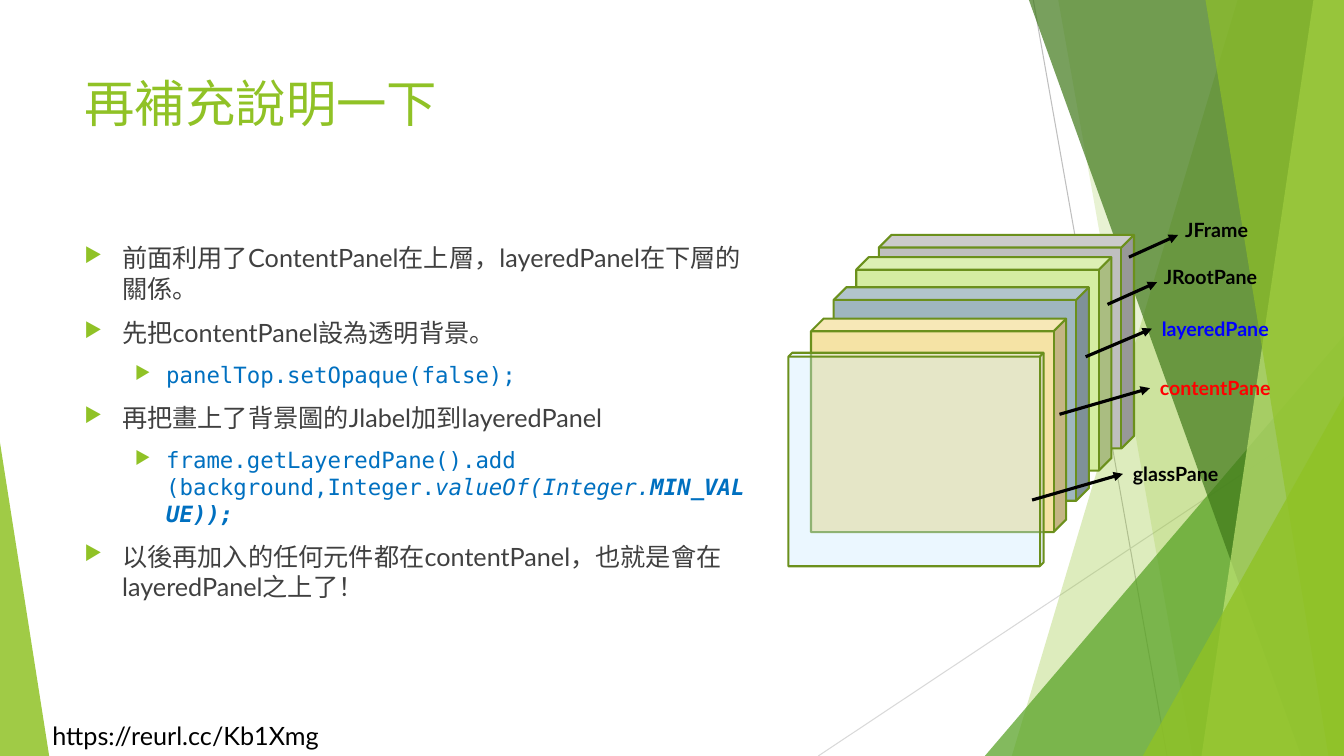
from lxml import etree
from pptx import Presentation
from pptx import util as u
from pptx.dml.color import RGBColor
from pptx.enum import shapes, text
from pptx.oxml import ns

Cm, Pt = u.Cm, u.Pt
SLIDE_W, SLIDE_H = 33.87, 19.05
COLORS = {
    "lime": "90C226", "green": "54A021", "forest": "3F7819", "pale": "C0E474",
    "edge": "6B901C", "silver": "BFBFBF", "mist": "D9D9D9", "body": "404040",
    "code": "0070C0", "black": "000000", "blue": "0000FF", "red": "FF0000",
    "root": "D5EDA2", "layered": "9FB6C0", "content": "F5E3A5", "glass": "CCECFF",
}


def paint(shape, fill=None, alpha=100, line=None, width=0, arrow=False):
    """Set fill, opacity in percent, outline and arrowhead, without a shadow."""
    if fill:
        shape.fill.solid()
        shape.fill.fore_color.rgb = RGBColor.from_string(COLORS[fill])
        if alpha < 100:
            tint = shape.fill._xPr.find(".//" + ns.qn("a:srgbClr"))
            etree.SubElement(tint, ns.qn("a:alpha"), val=str(alpha * 1000))
    if line:
        shape.line.color.rgb = RGBColor.from_string(COLORS[line])
        shape.line.width = Pt(width)
    else:
        shape.line.fill.background()
    properties = shape._element.spPr
    if arrow:
        etree.SubElement(properties.find(ns.qn("a:ln")), ns.qn("a:tailEnd"), type="triangle")
    etree.SubElement(properties, ns.qn("a:effectLst"))


def write(paragraph, words, font="Lato", size=18, color="body", bold=False, italic=False):
    """Add words to a paragraph; a newline becomes a line break."""
    for number, line in enumerate(words.split("\n")):
        if number:
            paragraph.add_line_break()
        run = paragraph.add_run()
        run.text = line
        run.font.name, run.font.size = font, Pt(size)
        run.font.bold, run.font.italic = bold, italic
        run.font.color.rgb = RGBColor.from_string(COLORS[color])


deck = Presentation()
deck.slide_width, deck.slide_height = Cm(SLIDE_W), Cm(SLIDE_H)
slide = deck.slides.add_slide(deck.slide_layouts[6])
canvas = slide.shapes

# Background rays and facets
rays = [((26.04, 0, 29.41, SLIDE_H), "silver"), ((SLIDE_W, 10.24, 20.62, SLIDE_H), "mist")]
for ends, color in rays:
    ray = canvas.add_connector(shapes.MSO_CONNECTOR.STRAIGHT, *map(Cm, ends))
    paint(ray, line=color, width=0.75)

# A band gives its left edge at top and bottom; a corner gives width, height and apex
facets = [
    ("band", (31.19, 25.5), "lime", 30),
    ("band", (26.67, 30.05), "lime", 20),
    ("corner", (9.05, 10.59, 1), "green", 72),
    ("band", (25.93, 32.79), "forest", 70),
    ("band", (33.1, 30.28), "pale", 70),
    ("band", (30.38, 33.48), "lime", 65),
    ("corner", (5.07, 9.07, 1), "lime", 80),
    ("corner", (1.24, 7.9, 0), "lime", 85),
]
for kind, measures, color, alpha in facets:
    if kind == "band":
        top_x, bottom_x = map(Cm, measures)
        outline = canvas.build_freeform(top_x, 0)
        outline.add_line_segments([(Cm(SLIDE_W), 0), (Cm(SLIDE_W), Cm(SLIDE_H)), (bottom_x, Cm(SLIDE_H))])
        facet = outline.convert_to_shape()
    else:
        width, height, apex = measures
        left = (SLIDE_W - width) * apex
        facet = canvas.add_shape(shapes.MSO_SHAPE.ISOSCELES_TRIANGLE,
                                 Cm(left), Cm(SLIDE_H - height), Cm(width), Cm(height))
        facet.adjustments[0] = apex
    paint(facet, color, alpha)

# Stack of panes: top, depth, fill, opacity
panes = [
    (5.92, 0.059, "silver", 100),
    (6.48, 0.059, "root", 100),
    (7.24, 0.059, "layered", 100),
    (8.03, 0.059, "content", 100),
    (8.89, 0.018, "glass", 38),
]
for index, (top, depth, color, alpha) in enumerate(panes):
    pane = canvas.add_shape(shapes.MSO_SHAPE.CUBE, Cm(22.15 - 0.57 * index), Cm(top), Cm(6.43), Cm(5.38))
    pane.adjustments[0] = depth
    paint(pane, color, alpha, "edge", 1.5)

# Pane name, colour, label left, top and width, arrow ends
labels = [
    ("JFrame", "black", (29.62, 5.36, 2.24), (28.45, 6.48, 29.69, 5.92)),
    ("JRootPane", "black", (29.08, 6.55, 2.95), (27.91, 7.67, 29.16, 7.11)),
    ("layeredPane", "blue", (29.03, 7.85, 3.38), (27.36, 8.99, 29.03, 8.28)),
    ("contentPane", "red", (28.98, 9.35, 3.48), (26.7, 10.44, 28.98, 9.78)),
    ("glassPane", "black", (28.3, 11.51, 3.48), (26.01, 12.6, 28.3, 11.94)),
]
for name, color, place, ends in labels:
    pointer = canvas.add_connector(shapes.MSO_CONNECTOR.STRAIGHT, *map(Cm, ends))
    paint(pointer, line="black", width=2.25, arrow=True)

# Every text block: place, then paragraphs as bullet level and formatted runs
code = {"font": "DejaVu Sans Mono", "size": 16, "color": "code"}
points = [
    (0, [("前面利用了ContentPanel在上層，layeredPanel在下層的關係。", {})]),
    (0, [("先把contentPanel設為透明背景。", {})]),
    (1, [("panelTop.setOpaque(false);", code)]),
    (0, [("再把畫上了背景圖的Jlabel加到layeredPanel", {})]),
    (1, [("frame.getLayeredPane().add\n(background,Integer.", code),
         ("valueOf(Integer.", {**code, "italic": True}),
         ("MIN_VALUE));", {**code, "italic": True, "bold": True})]),
    (0, [("以後再加入的任何元件都在contentPanel，也就是會在layeredPanel之上了！", {})]),
]
blocks = [
    ((1.07, 18.03, 7.77, 1.02), [(None, [("https://reurl.cc/Kb1Xmg", {"color": "black"})])]),
    ((1.88, 1.7, 23.88, 3.66), [(None, [("再補充說明一下", {"size": 36, "color": "lime"})])]),
    ((1.88, 5.99, 17.45, 10.77), points),
]
for name, color, place, ends in labels:
    blocks.append(((*place, 0.86), [(None, [(name, {"size": 14, "color": color, "bold": True})])]))

indents = [(0.95, -0.95), (2.06, -0.79)]
for place, paragraphs in blocks:
    frame = canvas.add_textbox(*map(Cm, place)).text_frame
    frame.word_wrap = True
    frame.vertical_anchor = text.MSO_ANCHOR.TOP
    for number, (level, runs) in enumerate(paragraphs):
        paragraph = frame.add_paragraph() if number else frame.paragraphs[0]
        if level is not None:
            margin, hanging = indents[level]
            marks = paragraph._p.get_or_add_pPr()
            marks.set("marL", str(Cm(margin)))
            marks.set("indent", str(Cm(hanging)))
            bullet_color = etree.SubElement(marks, ns.qn("a:buClr"))
            etree.SubElement(bullet_color, ns.qn("a:srgbClr"), val=COLORS["lime"])
            etree.SubElement(marks, ns.qn("a:buSzPct"), val="80000")
            etree.SubElement(marks, ns.qn("a:buChar"), char="▶")
            paragraph.level = level
            paragraph.space_before = Pt(10 if number else 0)
        for words, style in runs:
            write(paragraph, words, **style)

deck.save("out.pptx")
